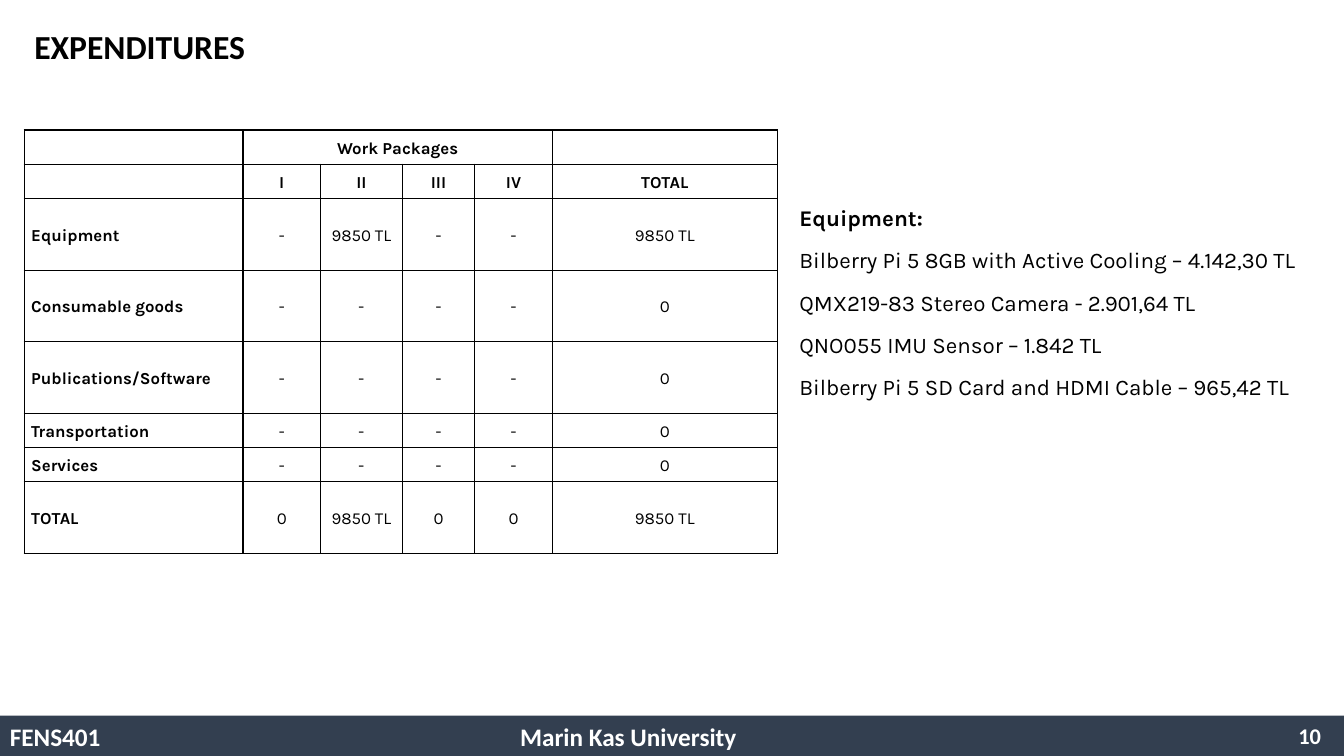
import pptx
import pptx.util
import pptx.dml.color
import pptx.enum.shapes
import pptx.enum.text
import pptx.oxml
import pptx.oxml.ns
import lxml.etree

Inches = pptx.util.Inches
Pt = pptx.util.Pt
ALIGN = pptx.enum.text.PP_ALIGN
MIDDLE = pptx.enum.text.MSO_ANCHOR.MIDDLE
COLORS = {"ink": "000000", "paper": "FFFFFF", "bar": "333F50"}

COLS = [2.17, 0.77, 0.81, 0.72, 0.77, 2.23]
ROWS = [0.34, 0.34, 0.71, 0.71, 0.71, 0.34, 0.34, 0.71]
COSTS = [
    ["", "Work Packages", "", "", "", ""],
    ["", "I", "II", "III", "IV", "TOTAL"],
    ["Equipment", "-", "9850 TL", "-", "-", "9850 TL"],
    ["Consumable goods", "-", "-", "-", "-", "0"],
    ["Publications/Software", "-", "-", "-", "-", "0"],
    ["Transportation", "-", "-", "-", "-", "0"],
    ["Services", "-", "-", "-", "-", "0"],
    ["TOTAL", "0", "9850 TL", "0", "0", "9850 TL"],
]
ITEMS = [
    "Equipment:",
    "Bilberry Pi 5 8GB with Active Cooling – 4.142,30 TL",
    "QMX219-83 Stereo Camera - 2.901,64 TL",
    "QNO055 IMU Sensor – 1.842 TL",
    "Bilberry Pi 5 SD Card and HDMI Cable – 965,42 TL",
]


def color(name):
    return pptx.dml.color.RGBColor.from_string(COLORS[name])


def add_run(para, text, size, font, ink="ink", bold=True):
    run = para.add_run()
    run.text = text
    run.font.size = Pt(size)
    run.font.name = font
    run.font.bold = bold
    run.font.color.rgb = color(ink)


def set_para(para, align):
    para.alignment = align
    para.line_spacing = 1.15
    para.space_after = Pt(8)


def add_box(slide, left, top, width, height):
    box = slide.shapes.add_textbox(Inches(left), Inches(top), Inches(width), Inches(height))
    box.text_frame.word_wrap = True
    return box.text_frame


def add_title(slide):
    title = slide.shapes.title
    title.left, title.top = Inches(0.24), Inches(0.1)
    title.width, title.height = Inches(12.57), Inches(0.77)
    title.text_frame.vertical_anchor = MIDDLE
    para = title.text_frame.paragraphs[0]
    para.alignment = ALIGN.LEFT
    para.line_spacing = 0.9
    add_run(para, "EXPENDITURES", 24, "Calibri")


def add_footer(slide):
    bar = slide.shapes.add_shape(pptx.enum.shapes.MSO_SHAPE.RECTANGLE, 0, Inches(7.1), Inches(13.33), Inches(0.4))
    bar.shadow.inherit = False
    bar.fill.solid()
    bar.fill.fore_color.rgb = color("bar")
    bar.line.fill.background()

    page = add_box(slide, 10.2, 7.1, 3, 0.4)
    page.vertical_anchor = MIDDLE
    page.paragraphs[0].alignment = ALIGN.RIGHT
    add_run(page.paragraphs[0], "10", 16, "Calibri", "paper")

    label = add_box(slide, 0, 7.11, 13.33, 0.4)
    label.vertical_anchor = MIDDLE
    para = label.paragraphs[0]
    tabs = lxml.etree.SubElement(para._p.get_or_add_pPr(), pptx.oxml.ns.qn("a:tabLst"))
    lxml.etree.SubElement(tabs, pptx.oxml.ns.qn("a:tab"), pos=str(Inches(5.06)), algn="l")
    add_run(para, "FENS401\tMarin Kas University", 18, "Calibri", "paper")


def set_border(cell):
    props = cell._tc.get_or_add_tcPr()
    for place, side in enumerate(("L", "R", "T", "B")):
        line = pptx.oxml.parse_xml(
            f'<a:ln{side} {pptx.oxml.ns.nsdecls("a")} w="{Pt(1)}"><a:solidFill>'
            f'<a:srgbClr val="{COLORS["ink"]}"/></a:solidFill></a:ln{side}>')
        props.insert(place, line)


def fill_cell(cell, text, align, bold):
    cell.margin_left = cell.margin_right = Inches(0.07)
    cell.margin_top = cell.margin_bottom = 0
    cell.vertical_anchor = MIDDLE
    cell.fill.background()
    set_border(cell)
    if text:
        para = cell.text_frame.paragraphs[0]
        set_para(para, align)
        add_run(para, text, 12, "Karla", bold=bold)


def add_costs(slide):
    frame = slide.shapes.add_table(len(ROWS), len(COLS), Inches(0.24), Inches(1.29),
                                   Inches(sum(COLS)), Inches(sum(ROWS)))
    table = frame.table
    table.first_row = table.horz_banding = False
    for col, width in zip(table.columns, COLS):
        col.width = Inches(width)
    for row, height in zip(table.rows, ROWS):
        row.height = Inches(height)
    table.cell(0, 1).merge(table.cell(0, 4))
    for r, texts in enumerate(COSTS):
        for c, text in enumerate(texts):
            align = ALIGN.CENTER if c else ALIGN.LEFT
            fill_cell(table.cell(r, c), text, align, r < 2 or c == 0)


def add_items(slide):
    frame = add_box(slide, 7.83, 1.94, 5.37, 2.5)
    for i, text in enumerate(ITEMS):
        para = frame.add_paragraph() if i else frame.paragraphs[0]
        set_para(para, ALIGN.JUSTIFY)
        add_run(para, text, 16, "Karla", bold=i == 0)


def main():
    deck = pptx.Presentation()
    deck.slide_width, deck.slide_height = Inches(13.33), Inches(7.5)
    slide = deck.slides.add_slide(deck.slide_layouts[5])
    add_footer(slide)
    add_title(slide)
    add_costs(slide)
    add_items(slide)
    deck.save("out.pptx")


if __name__ == "__main__":
    main()
